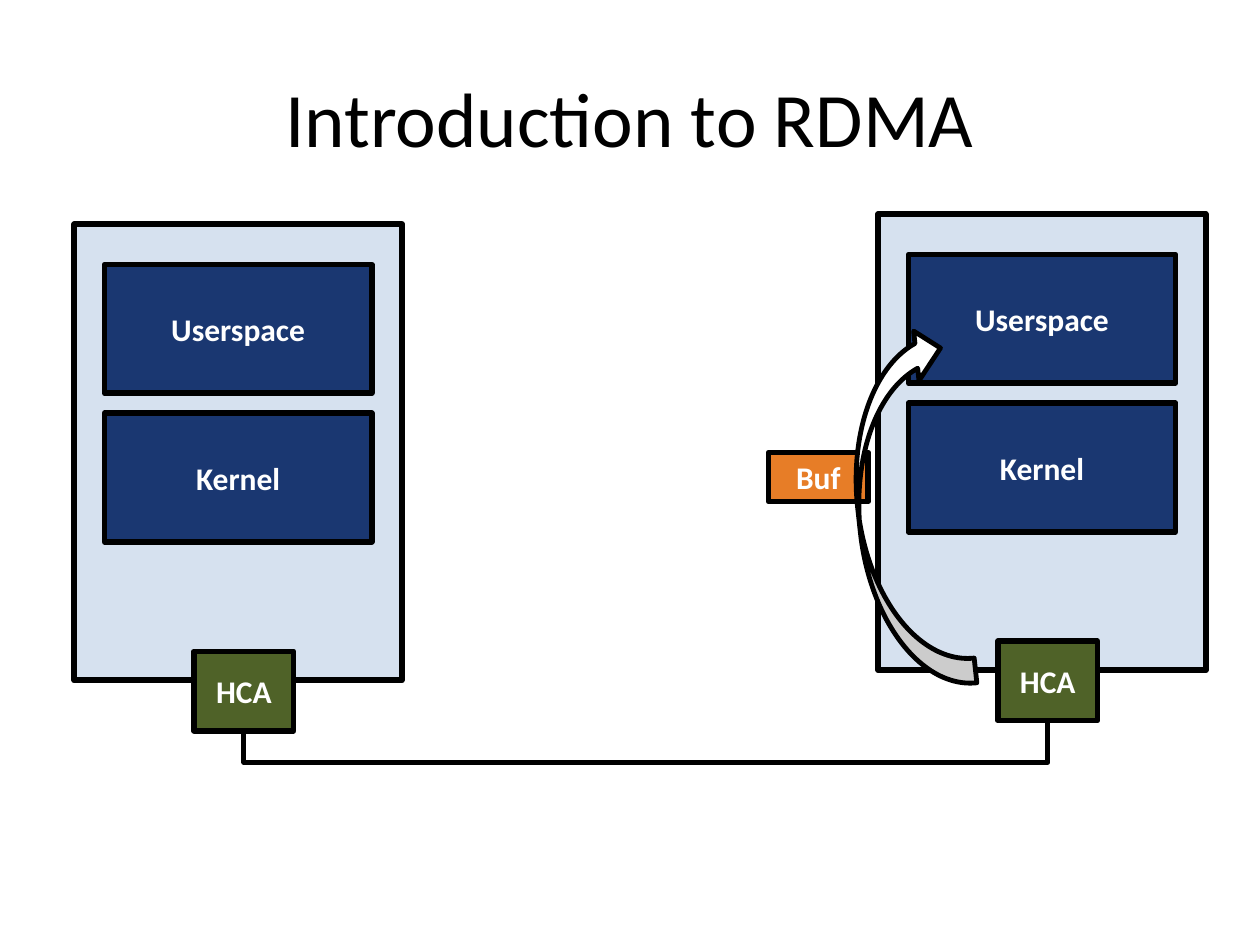
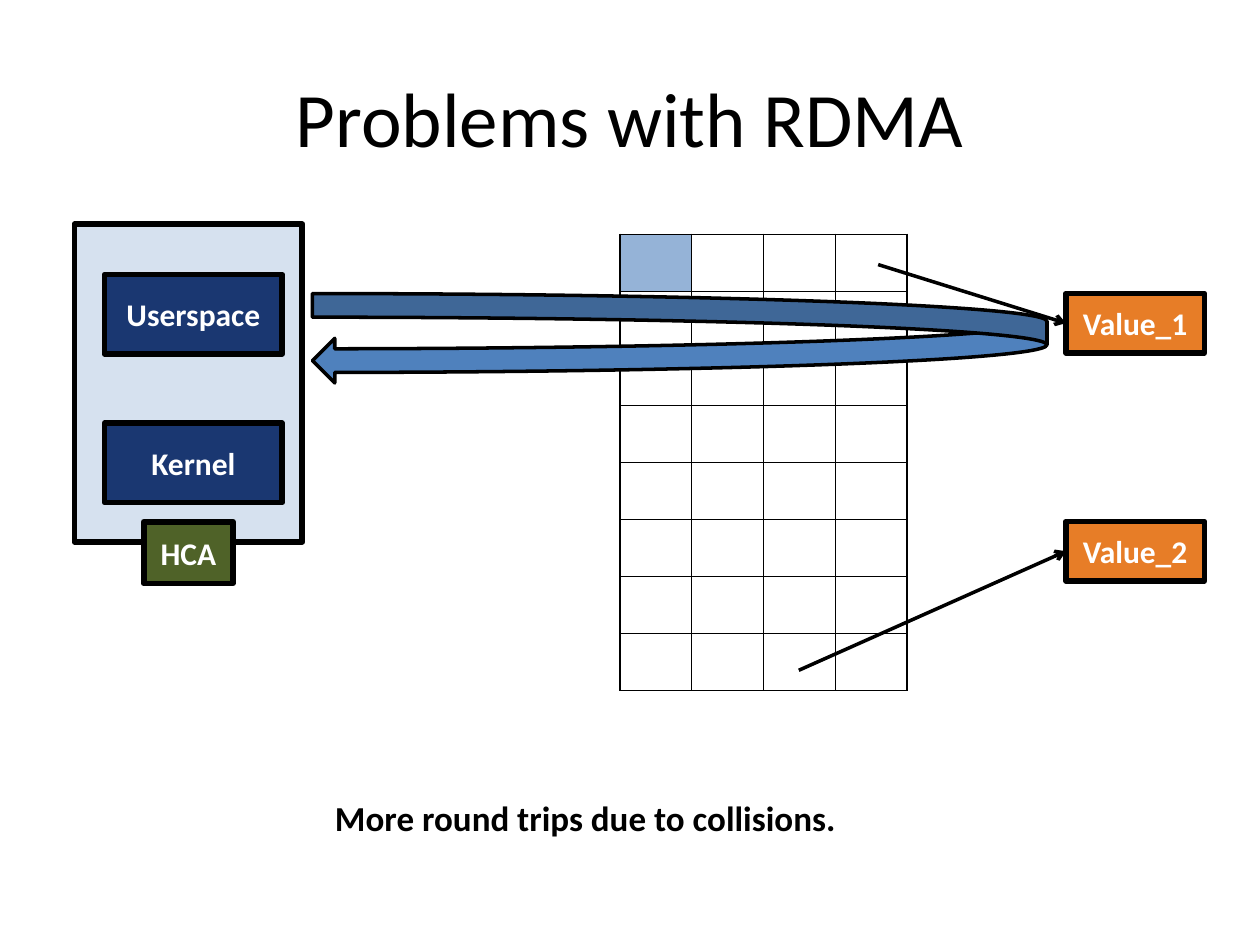
from lxml import etree
from pptx import Presentation
from pptx.dml.color import RGBColor
from pptx.enum.shapes import MSO_CONNECTOR as Connector, MSO_SHAPE as Preset
from pptx.enum.text import MSO_ANCHOR as Anchor, MSO_AUTO_SIZE as AutoSize, PP_ALIGN as Align
from pptx.oxml import parse_xml
from pptx.oxml.ns import nsdecls, qn
from pptx.util import Inches, Pt

BLACK = RGBColor(0x00, 0x00, 0x00)
WHITE = RGBColor(0xFF, 0xFF, 0xFF)
BLUE = RGBColor(0x4F, 0x81, 0xBD)
NAVY = RGBColor(0x00, 0x20, 0x60)
GREEN = RGBColor(0x4F, 0x62, 0x28)
ORANGE = RGBColor(0xE4, 0x6C, 0x0A)
LIGHT_BLUE = RGBColor(0x95, 0xB3, 0xD7)

TITLE_FONT = {"name": "Calibri", "size": Pt(44), "bold": False}
LABEL_FONT = {"name": "Calibri", "size": Pt(18), "bold": True}
NOTE_FONT = {"name": "Calibri", "size": Pt(20), "bold": True}

# fill colour and opacity in percent
HOST_FILL = (BLUE, 23)
LAYER_FILL = (NAVY, 88)
ADAPTER_FILL = (GREEN, 100)
DATA_FILL = (ORANGE, 88)

# Host parts, (left, top, width, height) measured from the host's corner
LARGE_HOST = {
    "size": (2.6, 3.62),
    "parts": [("Userspace", LAYER_FILL, (0.24, 0.32, 2.12, 1.02)),
              ("Kernel", LAYER_FILL, (0.24, 1.5, 2.12, 1.02)),
              ("HCA", ADAPTER_FILL, (0.95, 3.39, 0.79, 0.63))],
}
SMALL_HOST = {
    "size": (1.81, 2.52),
    "parts": [("Userspace", LAYER_FILL, (0.24, 0.4, 1.41, 0.63)),
              ("Kernel", LAYER_FILL, (0.24, 1.58, 1.41, 0.63)),
              ("HCA", ADAPTER_FILL, (0.55, 2.36, 0.71, 0.49))],
}
LEFT_HOST = (0.59, 1.78)
RIGHT_HOST = (6.97, 1.7)
CABLE_DROP = 0.25

TABLE_ROWS, TABLE_COLUMNS = 8, 4
TABLE_BOX = (4.92, 1.86, 2.28, 3.62)
# label, top of the value box, start of the pointer in the table
VALUES = [("Value_1", 2.33, (6.97, 2.1)), ("Value_2", 4.14, (6.34, 5.32))]


def inches(values):
    return [Inches(value) for value in values]


def write(shape, text, font_values, color, align):
    paragraph = shape.text_frame.paragraphs[0]
    paragraph.alignment = align
    run = paragraph.add_run()
    run.text = text
    for name, value in font_values.items():
        setattr(run.font, name, value)
    run.font.color.rgb = color


def add_block(slide, box, fill, text="", preset=Preset.RECTANGLE, line_width=3.25):
    color, opacity = fill
    shape = slide.shapes.add_shape(preset, *inches(box))
    shape.shadow.inherit = False
    shape.fill.solid()
    shape.fill.fore_color.rgb = color
    if opacity < 100:
        color_element = shape._element.spPr.find(qn("a:solidFill"))[0]
        etree.SubElement(color_element, qn("a:alpha"), val=str(opacity * 1000))
    shape.line.color.rgb = BLACK
    shape.line.width = Pt(line_width)
    if text:
        shape.text_frame.vertical_anchor = Anchor.MIDDLE
        write(shape, text, LABEL_FONT, WHITE, Align.CENTER)
    return shape


def add_host(slide, corner, host):
    """Draw a machine with its layers and return its network adapter."""
    left, top = corner
    add_block(slide, (left, top, *host["size"]), HOST_FILL)
    for text, fill, (x, y, width, height) in host["parts"]:
        block = add_block(slide, (left + x, top + y, width, height), fill, text)
    return block


def add_line(slide, kind, start, end, width):
    connector = slide.shapes.add_connector(kind, *start, *end)
    connector.line.color.rgb = BLACK
    connector.line.width = Pt(width)
    etree.SubElement(connector._element.spPr, qn("a:effectLst"))
    return connector


def add_cable(slide, first, second):
    """Join the bottoms of two adapters with a U-shaped connector."""
    (x1, y1), (x2, y2) = [(adapter.left + adapter.width // 2, adapter.top + adapter.height)
                          for adapter in (first, second)]
    cable = add_line(slide, Connector.ELBOW, (x1, y1), (x2, y2), 3)
    cable.begin_connect(first, 2)
    cable.end_connect(second, 2)
    # The bend runs sideways, so the frame is turned a quarter
    rise, span = y1 - y2, x2 - x1
    cable.left, cable.top = (x1 + x2 - rise) // 2, (y1 + y2 - span) // 2
    cable.width, cable.height = rise, span
    properties = cable._element.spPr
    for name, value in {"rot": "5400000", "flipH": "1", "flipV": "1"}.items():
        properties.find(qn("a:xfrm")).set(name, value)
    bend = round(-Inches(CABLE_DROP) / rise * 100000)
    guides = properties.find(qn("a:prstGeom")).find(qn("a:avLst"))
    etree.SubElement(guides, qn("a:gd"), name="adj1", fmla=f"val {bend}")


def add_hash_table(slide):
    frame = slide.shapes.add_table(TABLE_ROWS, TABLE_COLUMNS, *inches(TABLE_BOX))
    table = frame.table
    table.first_row = table.horz_banding = False
    for cell in table.iter_cells():
        for side in ("lnL", "lnR", "lnT", "lnB"):
            cell._tc.get_or_add_tcPr().append(parse_xml(
                f'<a:{side} {nsdecls("a")} w="{Pt(1)}"><a:solidFill>'
                f'<a:srgbClr val="{BLACK}"/></a:solidFill></a:{side}>'))
        cell.fill.background()
    used_cell = table.cell(0, 0)
    used_cell.fill.solid()
    used_cell.fill.fore_color.rgb = LIGHT_BLUE


def add_value(slide, text, top, start):
    box = (8.46, top, 1.1, 0.47)
    pointer = add_line(slide, Connector.STRAIGHT, inches(start), inches(box[:2]), 2)
    line = pointer.line._get_or_add_ln()
    etree.SubElement(line, qn("a:tailEnd"), type="arrow")
    pointer.end_connect(add_block(slide, box, DATA_FILL, text), 1)


def add_titled_slide(presentation, title):
    slide = presentation.slides.add_slide(presentation.slide_layouts[6])
    box = slide.shapes.add_textbox(*inches((0.5, 0.3, 9, 1.25)))
    box.text_frame.word_wrap = True
    box.text_frame.vertical_anchor = Anchor.MIDDLE
    write(box, title, TITLE_FONT, BLACK, Align.CENTER)
    return slide


def build_introduction(presentation):
    slide = add_titled_slide(presentation, "Introduction to RDMA")
    adapters = [add_host(slide, corner, LARGE_HOST) for corner in (LEFT_HOST, RIGHT_HOST)]
    add_cable(slide, *adapters)
    add_block(slide, (6.1, 3.59, 0.79, 0.39), DATA_FILL, "Buf")
    direct_write = add_block(slide, (6.81, 2.6, 0.79, 2.87), (WHITE, 100),
                             preset=Preset.CURVED_LEFT_ARROW, line_width=2.75)
    direct_write.rotation = 173.8


def build_problems(presentation):
    slide = add_titled_slide(presentation, "Problems with RDMA")
    add_hash_table(slide)
    for value in VALUES:
        add_value(slide, *value)
    add_host(slide, LEFT_HOST, SMALL_HOST)
    round_trip = add_block(slide, (2.48, 2.33, 5.83, 0.71), (BLUE, 100),
                           preset=Preset.CURVED_LEFT_ARROW, line_width=2)
    round_trip.adjustments[0] = 0.264
    note = slide.shapes.add_textbox(*inches((2.56, 6.27, 4.21, 0.44)))
    note.text_frame.word_wrap = False
    note.text_frame.auto_size = AutoSize.SHAPE_TO_FIT_TEXT
    write(note, "More round trips due to collisions.", NOTE_FONT, BLACK, Align.LEFT)


def main():
    presentation = Presentation()
    presentation.slide_width, presentation.slide_height = Inches(10), Inches(7.5)
    build_introduction(presentation)
    build_problems(presentation)
    presentation.save("out.pptx")


if __name__ == "__main__":
    main()
